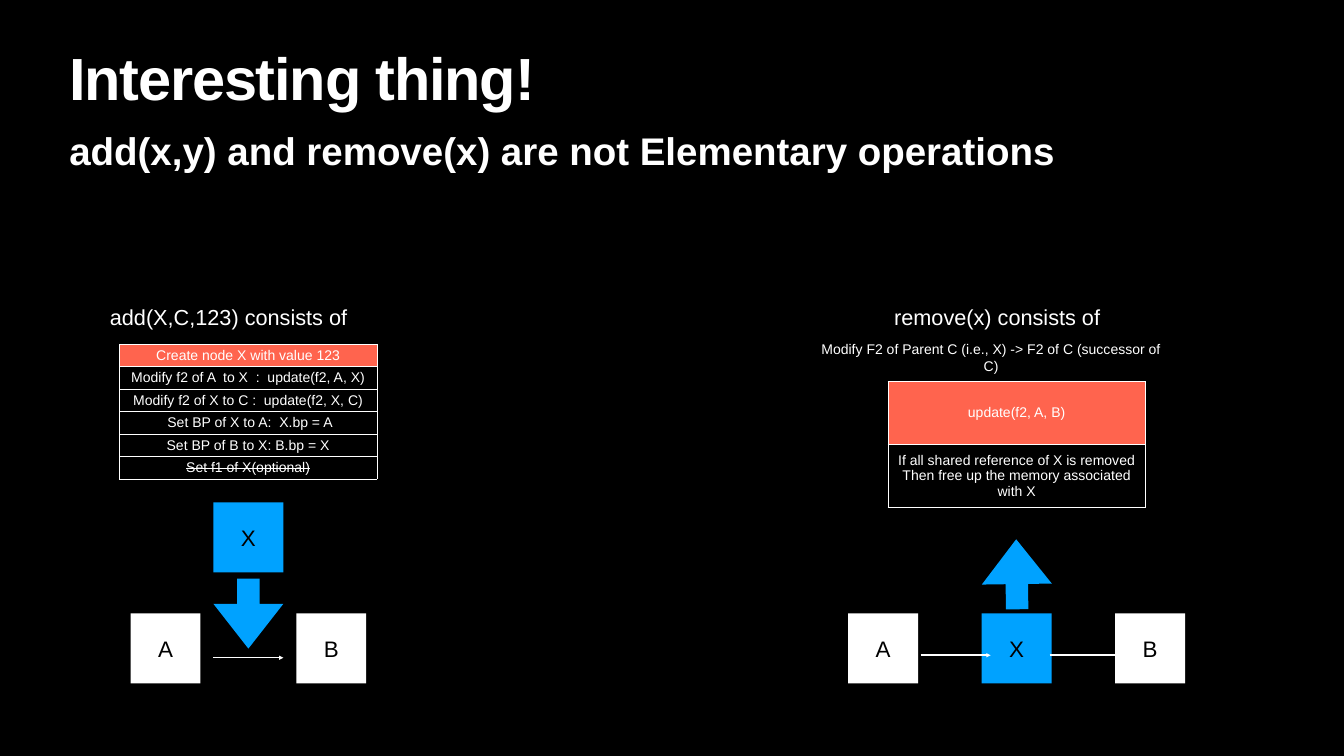
import pptx
import pptx.util
import pptx.dml.color
import pptx.enum.shapes
import pptx.enum.text
import pptx.oxml.ns
import lxml.etree
from dataclasses import dataclass

Pt = pptx.util.Pt
SHAPE = pptx.enum.shapes.MSO_SHAPE
ALIGN = pptx.enum.text.PP_ALIGN
ANCHOR = pptx.enum.text.MSO_ANCHOR
NO_GRID = "{2D5ABB26-0587-4C30-8999-92F81FD0307C}"


@dataclass
class Theme:
    font: str = "Arial"
    black: str = "000000"
    white: str = "FFFFFF"
    blue: str = "00A2FF"
    coral: str = "FF644E"
    title: int = 85
    body: int = 55
    head: int = 31
    node: int = 32
    small: int = 20
    inset: int = 4


def rgb(code):
    return pptx.dml.color.RGBColor.from_string(code)


def child(node, tag, **attrs):
    return lxml.etree.SubElement(node, pptx.oxml.ns.qn(tag), attrs)


class Board:
    """Holds the theme and the current slide."""

    def __init__(self, deck, theme):
        self.theme = theme
        self.slide = deck.slides.add_slide(deck.slide_layouts[1])
        fill = self.slide.background.fill
        fill.solid()
        fill.fore_color.rgb = rgb(theme.black)

    def letter(self, frame, text, size, color, align=ALIGN.CENTER, bold=False):
        par = frame.paragraphs[0]
        par.text = text
        par.alignment = align
        par.font.name = self.theme.font
        par.font.size = Pt(size)
        par.font.bold = bold
        par.font.color.rgb = rgb(color)
        return par

    def pad(self, item):
        item.margin_left = item.margin_right = Pt(self.theme.inset)
        item.margin_top = item.margin_bottom = Pt(self.theme.inset)

    def holder(self, index, text, size, box):
        shape = self.slide.placeholders[index]
        shape.left, shape.top, shape.width, shape.height = map(Pt, box)
        frame = shape.text_frame
        self.pad(frame)
        frame.auto_size = pptx.enum.text.MSO_AUTO_SIZE.NONE
        frame.vertical_anchor = ANCHOR.TOP
        par = self.letter(frame, text, size, self.theme.white, ALIGN.LEFT, True)
        par.space_before = Pt(0)
        return par

    def label(self, text, size, box, wrap=False):
        frame = self.slide.shapes.add_textbox(*map(Pt, box)).text_frame
        self.pad(frame)
        frame.word_wrap = wrap
        frame.vertical_anchor = ANCHOR.MIDDLE
        self.letter(frame, text, size, self.theme.white)

    def shape(self, kind, left, top, side, color):
        shape = self.slide.shapes.add_shape(kind, Pt(left), Pt(top), Pt(side), Pt(side))
        shape.shadow.inherit = False
        shape.fill.solid()
        shape.fill.fore_color.rgb = rgb(color)
        shape.line.fill.background()
        return shape

    def node(self, text, left, top, side, color):
        frame = self.shape(SHAPE.RECTANGLE, left, top, side, color).text_frame
        self.pad(frame)
        frame.vertical_anchor = ANCHOR.MIDDLE
        self.letter(frame, text, self.theme.node, self.theme.black)

    def block(self, kind, left, top, side, turn=0):
        shape = self.shape(kind, left, top, side, self.theme.blue)
        shape.adjustments[0] = 0.32
        shape.adjustments[1] = 0.64
        shape.rotation = turn

    def arrow(self, left, top, length):
        line = self.slide.shapes.add_connector(
            pptx.enum.shapes.MSO_CONNECTOR.STRAIGHT,
            Pt(left), Pt(top), Pt(left + length), Pt(top))
        line.line.color.rgb = rgb(self.theme.white)
        line.line.width = Pt(2)
        child(line.line._get_or_add_ln(), "a:tailEnd", type="triangle")
        child(line._element.spPr, "a:effectLst")

    def edge(self, cell):
        props = cell._tc.get_or_add_tcPr()
        for spot, side in enumerate(("a:lnL", "a:lnR", "a:lnT", "a:lnB")):
            line = lxml.etree.Element(pptx.oxml.ns.qn(side), w=str(Pt(1)))
            child(child(line, "a:solidFill"), "a:srgbClr", val=self.theme.white)
            props.insert(spot, line)

    def table(self, left, top, width, height, lines):
        """One column of steps, with the first one filled."""
        grid = self.slide.shapes.add_table(
            len(lines), 1, Pt(left), Pt(top), Pt(width), Pt(height * len(lines))).table
        grid.first_row = grid.horz_banding = False
        grid._tbl.tblPr.find(pptx.oxml.ns.qn("a:tableStyleId")).text = NO_GRID
        for row, text in enumerate(lines):
            grid.rows[row].height = Pt(height)
            cell = grid.cell(row, 0)
            self.pad(cell)
            cell.vertical_anchor = ANCHOR.MIDDLE
            if row == 0:
                cell.fill.solid()
                cell.fill.fore_color.rgb = rgb(self.theme.coral)
            else:
                cell.fill.background()
            self.edge(cell)
            self.letter(cell.text_frame, text, self.theme.small, self.theme.white)
        return grid


def main():
    deck = pptx.Presentation()
    deck.slide_width, deck.slide_height = Pt(1920.24), Pt(1080)
    look = Theme()
    board = Board(deck, look)

    # Title and subtitle
    title = board.holder(0, "Interesting thing!", look.title, (95, 75, 1730, 113))
    title.line_spacing = 0.8
    title.runs[0]._r.get_or_add_rPr().set("spc", "-170")
    body = board.holder(1, "add(x,y) and remove(x) are not Elementary operations",
                        look.body, (95, 177, 1730, 73))
    props = body._p.get_or_add_pPr()
    props.set("marL", "0")
    props.set("indent", "0")
    none = lxml.etree.Element(pptx.oxml.ns.qn("a:buNone"))
    props.find(pptx.oxml.ns.qn("a:defRPr")).addprevious(none)

    # Steps of add and remove
    board.label("add(X,C,123) consists of ", look.head, (152.6, 430.6, 356.4, 45.4))
    steps = board.table(170.6, 491.8, 368, 31.9, [
        "Create node X with value 123",
        "Modify f2 of A  to X  :  update(f2, A, X)",
        "Modify f2 of X to C :  update(f2, X, C)",
        " Set BP of X to A:  X.bp = A",
        "Set BP of B to X: B.bp = X",
        "Set f1 of X(optional)"])
    last = steps.cell(5, 0).text_frame.paragraphs[0].runs[0]
    last._r.get_or_add_rPr().set("strike", "sngStrike")

    board.label("remove(x) consists of ", look.head, (1273, 430.6, 311.8, 45.4))
    board.label("Modify F2 of Parent C (i.e., X) -> F2 of C (successor of C)",
                look.small, (1165, 494.6, 502, 31.7), wrap=True)
    board.table(1268.6, 545, 368, 90, [
        "update(f2, A, B)",
        "If all shared reference of X is removed\v"
        "Then free up the memory associated with X"])

    # Node X goes in between A and B
    side, base = 100, 876.2
    start, step = 186.5, 118.4
    middle = start + step
    board.node("A", start, base, side, look.white)
    board.node("X", middle, 717.8, side, look.blue)
    board.node("B", start + 2 * step, base, side, look.white)
    board.arrow(middle, 939.6, side)
    board.block(SHAPE.DOWN_ARROW, middle, 826.6, side)

    # Node X comes out from between A and B
    start, step = 1211.8, 190.8
    for spot, name in enumerate("AXB"):
        color = look.blue if name == "X" else look.white
        board.node(name, start + spot * step, base, side, color)
    for left in (1315.4, 1499.8):
        board.arrow(left, 936, side)
    board.block(SHAPE.UP_ARROW, start + step, 770.4, side, -0.8)

    deck.save("out.pptx")


if __name__ == "__main__":
    main()
